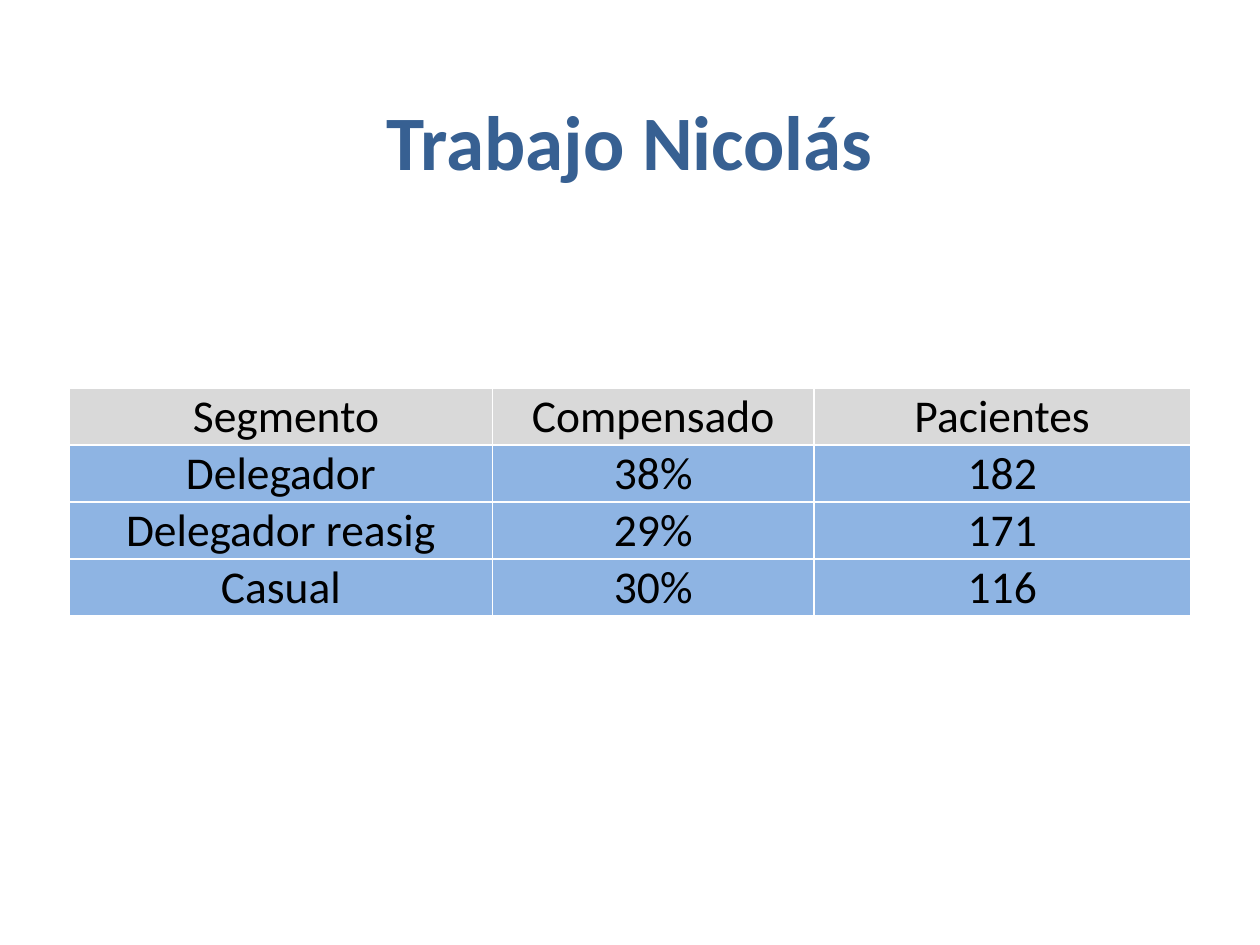
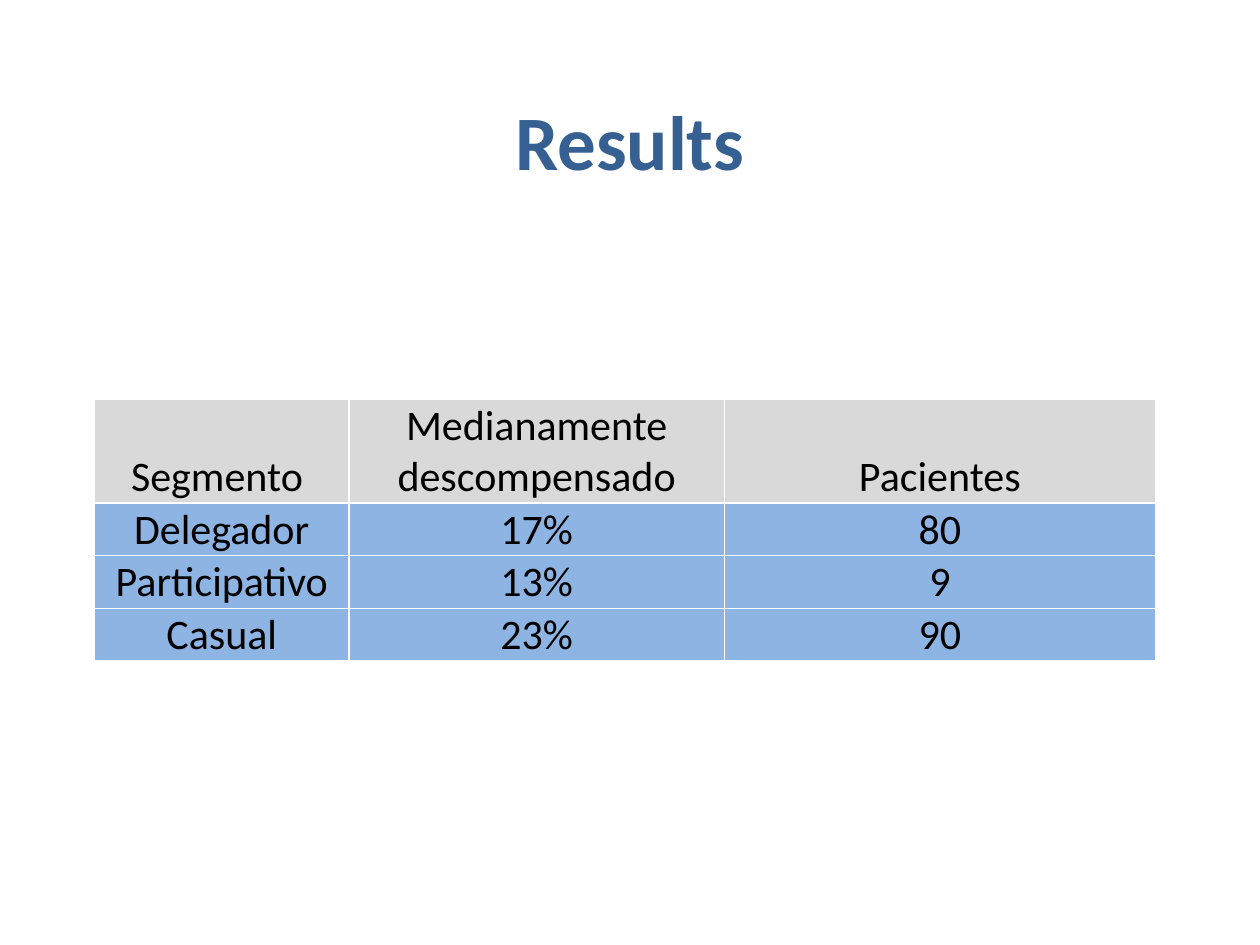
"""Builds two slides, each with a title and a table of patient segments."""
from dataclasses import dataclass

from lxml import etree
from pptx import Presentation
from pptx.dml.color import RGBColor
from pptx.enum.text import MSO_ANCHOR, MSO_AUTO_SIZE, PP_ALIGN
from pptx.oxml.ns import qn
from pptx.util import Inches, Pt

CENTER = PP_ALIGN.CENTER
MIDDLE, BOTTOM = MSO_ANCHOR.MIDDLE, MSO_ANCHOR.BOTTOM
NO_AUTOFIT = MSO_AUTO_SIZE.NONE
TITLE_ONLY = 5


@dataclass(frozen=True)
class Theme:
    font: str = "Calibri"
    title_size: int = 44
    title_color: str = "376092"
    text_color: str = "000000"
    header_fill: str = "D9D9D9"
    body_fill: str = "8EB4E3"
    border_color: str = "FFFFFF"
    border_width: int = 1


THEME = Theme()
TITLE_BOX = (0.69, 0.38, 8.62, 1.45)
CELL_MARGIN = 0.01

SLIDES = [
    {
        "title": "Trabajo Nicolás",
        "origin": (0.55, 3.08),
        "columns": (3.36, 2.55, 2.99),
        "header_height": 0.44,
        "row_height": 0.44,
        "text_size": 26,
        "rows": [
            ("\u00a0Segmento", "Compensado", "Pacientes"),
            ("Delegador", "38%", "182"),
            ("Delegador reasig", "29%", "171"),
            ("Casual", "30%", "116"),
        ],
    },
    {
        "title": "Results",
        "origin": (0.75, 3.17),
        "columns": (2.02, 2.98, 3.42),
        "header_height": 0.81,
        "row_height": 0.41,
        "text_size": 24,
        "rows": [
            ("Segmento\u00a0", "Medianamente descompensado", "Pacientes"),
            ("Delegador", "17%", "80"),
            ("Participativo", "13%", "9"),
            ("Casual", "23%", "90"),
        ],
    },
]


def style_paragraph(paragraph, size, color, bold=False):
    paragraph.alignment = CENTER
    font = paragraph.font
    font.name, font.size, font.bold = THEME.font, Pt(size), bold
    font.color.rgb = RGBColor.from_string(color)


def place_title(slide, text):
    title = slide.shapes.title
    title.left, title.top, title.width, title.height = map(Inches, TITLE_BOX)
    frame = title.text_frame
    frame.text = text
    frame.auto_size = NO_AUTOFIT
    frame.vertical_anchor = MIDDLE
    style_paragraph(frame.paragraphs[0], THEME.title_size, THEME.title_color, True)


def add_borders(cell):
    properties = cell._tc.get_or_add_tcPr()
    for position, side in enumerate(("a:lnL", "a:lnR", "a:lnT", "a:lnB")):
        line = etree.Element(qn(side), w=str(Pt(THEME.border_width)))
        fill = etree.SubElement(line, qn("a:solidFill"))
        etree.SubElement(fill, qn("a:srgbClr"), val=THEME.border_color)
        properties.insert(position, line)


def fill_cell(cell, text, size, fill):
    cell.text = text
    cell.vertical_anchor = BOTTOM
    cell.margin_left = cell.margin_right = cell.margin_top = Inches(CELL_MARGIN)
    cell.margin_bottom = 0
    cell.fill.solid()
    cell.fill.fore_color.rgb = RGBColor.from_string(fill)
    style_paragraph(cell.text_frame.paragraphs[0], size, THEME.text_color)
    add_borders(cell)


def add_segment_table(slide, content):
    rows, columns = content["rows"], content["columns"]
    heights = [content["header_height"]] + [content["row_height"]] * (len(rows) - 1)
    left, top = content["origin"]
    box = map(Inches, (left, top, sum(columns), sum(heights)))
    table = slide.shapes.add_table(len(rows), len(columns), *box).table
    table.horz_banding = False
    for column, width in zip(table.columns, columns):
        column.width = Inches(width)
    for index, (row, height, texts) in enumerate(zip(table.rows, heights, rows)):
        row.height = Inches(height)
        fill = THEME.body_fill if index else THEME.header_fill
        for cell, text in zip(row.cells, texts):
            fill_cell(cell, text, content["text_size"], fill)


def main():
    deck = Presentation()
    deck.slide_width, deck.slide_height = Inches(10), Inches(7.5)
    for content in SLIDES:
        slide = deck.slides.add_slide(deck.slide_layouts[TITLE_ONLY])
        place_title(slide, content["title"])
        add_segment_table(slide, content)
    deck.save("out.pptx")


main()
